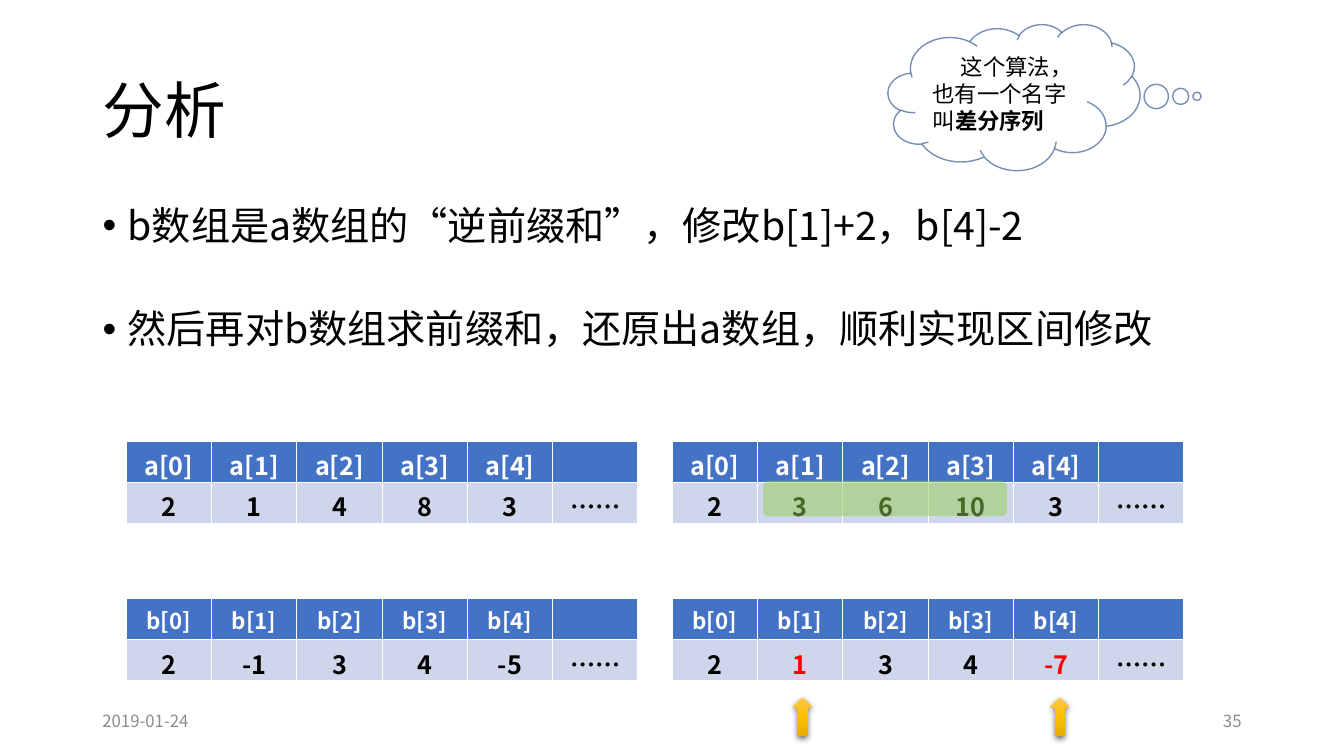
from lxml.etree import SubElement
from pptx import Presentation
from pptx.dml.color import RGBColor
from pptx.enum.shapes import MSO_SHAPE
from pptx.enum.text import MSO_ANCHOR, MSO_AUTO_SIZE, PP_ALIGN
from pptx.oxml import parse_xml
from pptx.oxml.ns import nsdecls, qn
from pptx.util import Cm, Pt

FONT = "Noto Sans CJK SC"


def rgb(color):
    return RGBColor.from_string(color)


def write(p, text, size, color="000000", bold=False, align=PP_ALIGN.LEFT):
    """Append a formatted run to paragraph p."""
    p.alignment = align
    r = p.add_run()
    r.text = text
    r.font.size = Pt(size)
    r.font.bold = bold
    r.font.color.rgb = rgb(color)
    r.font.name = FONT
    SubElement(r.font._element, qn("a:ea"), typeface=FONT)


prs = Presentation()
prs.slide_width, prs.slide_height = Cm(33.87), Cm(19.05)
s = prs.slides.add_slide(prs.slide_layouts[1])

# Title and bullets
title, body = s.placeholders
title.left, title.top, title.width, title.height = Cm(2.33), Cm(1.02), Cm(29.21), Cm(3.68)
body.left, body.top, body.width, body.height = Cm(2.33), Cm(5.08), Cm(29.87), Cm(12.09)
for sp in (title, body):
    sp.text_frame.auto_size = MSO_AUTO_SIZE.NONE
title.text_frame.vertical_anchor = MSO_ANCHOR.MIDDLE
title.text_frame.paragraphs[0].line_spacing = 0.9
write(title.text_frame.paragraphs[0], "分析", 44)

bullets = [
    ("b数组是a数组的“逆前缀和”，修改b[1]+2，b[4]-2", 10),
    ("然后再对b数组求前缀和，还原出a数组，顺利实现区间修改", 43.5),
]
tf = body.text_frame
for i, (text, space) in enumerate(bullets):
    p = tf.add_paragraph() if i else tf.paragraphs[0]
    p.line_spacing = 0.9
    p.space_before = Pt(space)
    write(p, text, 28)
    pPr = p._p.get_or_add_pPr()
    pPr.set("marL", str(Cm(0.635)))
    pPr.set("indent", str(-Cm(0.635)))
    SubElement(pPr, qn("a:buChar"), char="•")

# Date and slide number
for text, left, align in [("2019-01-24", 2.33, PP_ALIGN.LEFT), ("35", 23.92, PP_ALIGN.RIGHT)]:
    tf = s.shapes.add_textbox(Cm(left), Cm(17.65), Cm(7.62), Cm(1.01)).text_frame
    tf.word_wrap = True
    tf.vertical_anchor = MSO_ANCHOR.MIDDLE
    write(tf.paragraphs[0], text, 12, "8C8C8C", align=align)

# Arrays before (left) and after (right) the change
arrays = [
    ("a", 3.18, 11.13, 18, ["2", "1", "4", "8", "3"], []),
    ("a", 16.94, 11.13, 18, ["2", "3", "6", "10", "3"], []),
    ("b", 3.18, 15.09, 16, ["2", "-1", "3", "4", "-5"], []),
    ("b", 16.94, 15.09, 16, ["2", "1", "3", "4", "-7"], [1, 4]),
]
for name, left, top, head_size, values, changed in arrays:
    table = s.shapes.add_table(2, 6, Cm(left), Cm(top), Cm(12.9), Cm(2.06)).table
    for col, value in enumerate(values + ["……"]):
        head, cell = table.cell(0, col), table.cell(1, col)
        for c, fill in ((head, "4472C4"), (cell, "CFD5EA")):
            c.fill.solid()
            c.fill.fore_color.rgb = rgb(fill)
        if col < len(values):
            write(head.text_frame.paragraphs[0], f"{name}[{col}]", head_size, "FFFFFF",
                  bold=True, align=PP_ALIGN.CENTER)
        write(cell.text_frame.paragraphs[0], value, 18,
              "FF0000" if col in changed else "000000", bold=True, align=PP_ALIGN.CENTER)

# Arrows under the changed values
for left in (19.99, 26.47):
    arrow = s.shapes.add_shape(MSO_SHAPE.UP_ARROW, Cm(left), Cm(17.58), Cm(0.48), Cm(0.97))
    arrow.line.fill.background()
    spPr = arrow._element.spPr
    stops = "".join(f'<a:gs pos="{pos}"><a:srgbClr val="{color}"/></a:gs>' for pos, color in
                    ((0, "FFC64B"), (50000, "FFC000"), (100000, "E3AB00")))
    spPr.find(qn("a:ln")).addprevious(parse_xml(
        f'<a:gradFill {nsdecls("a")}><a:gsLst>{stops}</a:gsLst>'
        '<a:lin ang="5400000" scaled="0"/></a:gradFill>'))
    spPr.append(parse_xml(
        f'<a:effectLst {nsdecls("a")}><a:outerShdw blurRad="{Pt(4.5)}" dist="{Pt(1.5)}" '
        'dir="5400000" algn="ctr" rotWithShape="0"><a:srgbClr val="000000">'
        '<a:alpha val="63000"/></a:srgbClr></a:outerShdw></a:effectLst>'))

# Highlighted interval and thought cloud
interval = s.shapes.add_shape(MSO_SHAPE.ROUNDED_RECTANGLE, Cm(19.23), Cm(12.12), Cm(6.15), Cm(0.89))
interval.fill.solid()
interval.fill.fore_color.rgb = rgb("92D050")
interval.line.fill.background()

cloud = s.shapes.add_shape(MSO_SHAPE.CLOUD_CALLOUT, Cm(22.38), Cm(0.61), Cm(6.35), Cm(3.68))
cloud.adjustments[0], cloud.adjustments[1] = 0.726, -0.006
cloud.fill.background()
cloud.line.color.rgb = rgb("325491")
cloud.line.width = Pt(1)
tf = cloud.text_frame
tf.word_wrap = True
tf.vertical_anchor = MSO_ANCHOR.MIDDLE
p = tf.paragraphs[0]
write(p, "这个算法，也有一个名字叫", 16)
write(p, "差分序列", 16, bold=True)
p._p.get_or_add_pPr().set("indent", str(Cm(0.71)))

for sp, alpha in ((interval, 50000), (cloud, 65000)):
    sp.shadow.inherit = False
    SubElement(next(sp._element.spPr.iter(qn("a:srgbClr"))), qn("a:alpha"), val=str(alpha))

prs.save("out.pptx")
